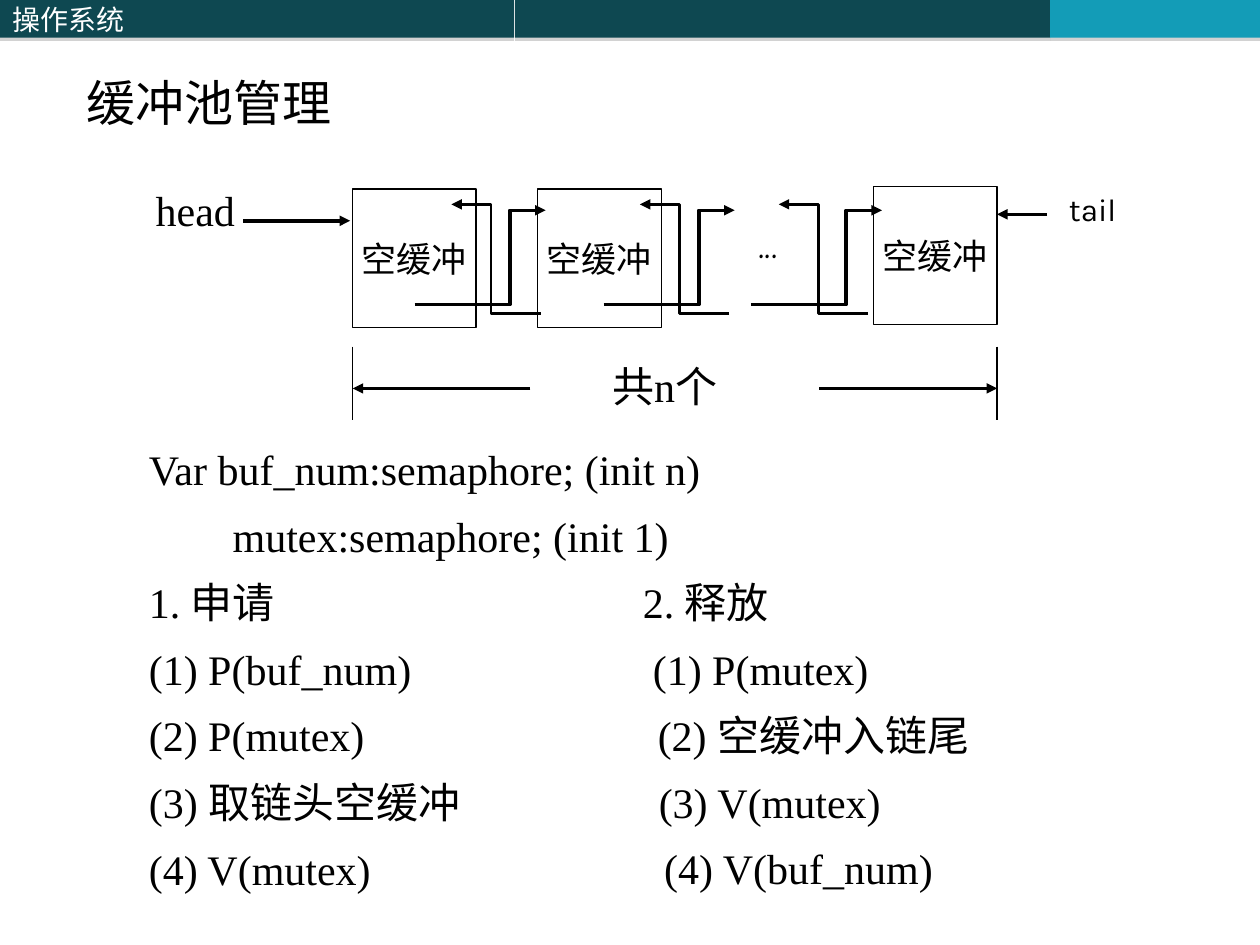
from typing import NamedTuple

from lxml.etree import SubElement
from pptx import Presentation
from pptx.dml.color import RGBColor
from pptx.enum.shapes import MSO_CONNECTOR, MSO_SHAPE
from pptx.enum.text import MSO_ANCHOR, MSO_AUTO_SIZE, PP_ALIGN
from pptx.oxml.ns import qn
from pptx.util import Cm, Pt

SERIF = "Times New Roman"
CHINESE = "Noto Sans CJK SC"
BLACK, WHITE = "000000", "FFFFFF"
DARK_TEAL, BRIGHT_TEAL = "0E4851", "139CB7"


class Band(NamedTuple):
    left: float
    width: float
    color: str
    text: str = ""


class Label(NamedTuple):
    text: str
    left: float
    top: float
    width: float
    height: float = 1.27
    font: str = SERIF
    size: float = 24


class Segment(NamedTuple):
    start: tuple[float, float]
    end: tuple[float, float]
    weight: float
    arrow: bool = True


class Row(NamedTuple):
    text: str
    indent: float = 0


# All places and lengths are in centimetres.
BANDS = [
    Band(0, 10.36, DARK_TEAL, "操作系统"),
    Band(10.38, 10.79, DARK_TEAL),
    Band(21.17, 4.23, BRIGHT_TEAL),
]
BUFFERS = [(7.11, 3.81), (10.84, 3.81), (17.61, 3.76)]
FORWARD_LINKS = [8.36, 12.17, 15.14]
BACKWARD_LINKS = [17.5, 14.7, 10.9]
CHAIN_LEFT, CHAIN_RIGHT = 7.11, 20.1
LABELS = [
    Label("...", 15.04, 4.24, 1.68, font="Comic Neue"),
    Label("head", 2.89, 3.6, 2.39),
    Label("共n个", 12.09, 7.13, 3.12),
    Label("tail", 21.3, 3.71, 2.01, 1.02, "Karla", 18),
]
SEGMENTS = [
    Segment((4.9, 4.45), (7.06, 4.45), 2),
    Segment((21.11, 4.32), (CHAIN_RIGHT, 4.32), 1.5),
    Segment((CHAIN_LEFT, 6.99), (CHAIN_LEFT, 8.46), 0.75, False),
    Segment((CHAIN_RIGHT, 6.99), (CHAIN_RIGHT, 8.46), 0.75, False),
    Segment((16.51, 7.83), (CHAIN_RIGHT, 7.83), 1.75),
    Segment((10.69, 7.83), (CHAIN_LEFT, 7.83), 1.75),
]
REQUEST_ROWS = [
    Row("Var buf_num:semaphore; (init n)"),
    Row("mutex:semaphore; (init 1)", indent=1.69),
    Row("1. 申请"),
    Row("(1) P(buf_num)"),
    Row("(2) P(mutex)"),
    Row("(3) 取链头空缓冲"),
    Row("(4) V(mutex)"),
]
RELEASE_ROWS = [
    Row("2. 释放"),
    Row("(1) P(mutex)", indent=0.2),
    Row("(2) 空缓冲入链尾", indent=0.3),
    Row("(3) V(mutex)", indent=0.32),
    Row("(4) V(buf_num)", indent=0.43),
]
BODY_TOP, BODY_HEIGHT, ROW_PITCH = 9.01, 9.12, 1.34
RELEASE_DROP = ROW_PITCH * (len(REQUEST_ROWS) - len(RELEASE_ROWS))


def rgb(color: str) -> RGBColor:
    return RGBColor.from_string(color)


def write(para, text: str, *, size: float, font: str = SERIF, color: str = BLACK,
          align=PP_ALIGN.LEFT) -> None:
    para.alignment = align
    span = para.add_run()
    span.text = text
    span.font.size = Pt(size)
    span.font.name = font
    span.font.color.rgb = rgb(color)
    SubElement(span.font._element, qn("a:ea"), typeface=CHINESE)


def set_frame(frame, *, anchor=MSO_ANCHOR.TOP, wrap: bool = True, side: float = 0.25) -> None:
    frame.auto_size = MSO_AUTO_SIZE.NONE
    frame.vertical_anchor = anchor
    frame.word_wrap = wrap
    frame.margin_left = frame.margin_right = Cm(side)
    frame.margin_top = frame.margin_bottom = Cm(0.13)


def move(shape, left: float, top: float, width: float, height: float) -> None:
    shape.left, shape.top = Cm(left), Cm(top)
    shape.width, shape.height = Cm(width), Cm(height)


def add_box(page, left: float, top: float, width: float, height: float, fill: str):
    box = page.shapes.add_shape(
        MSO_SHAPE.RECTANGLE, Cm(left), Cm(top), Cm(width), Cm(height))
    box.shadow.inherit = False
    box.fill.solid()
    box.fill.fore_color.rgb = rgb(fill)
    return box


def add_band(page, band: Band) -> None:
    box = add_box(page, band.left, 0, band.width, 0.76, band.color)
    box.line.fill.background()
    effects = box._element.spPr.find(qn("a:effectLst"))
    shadow = SubElement(effects, qn("a:outerShdw"), blurRad="0", dist=str(Pt(1.8)),
                        dir="5400000", algn="t", rotWithShape="0")
    tint = SubElement(shadow, qn("a:srgbClr"), val="808080")
    SubElement(tint, qn("a:alpha"), val="35000")
    if band.text:
        set_frame(box.text_frame, anchor=MSO_ANCHOR.MIDDLE)
        write(box.text_frame.paragraphs[0], band.text, size=16, font=CHINESE, color=WHITE)


def add_buffer(page, left: float, top: float) -> None:
    box = add_box(page, left, top, 2.49, 2.79, WHITE)
    box.line.color.rgb = rgb(BLACK)
    box.line.width = Pt(0.75)
    set_frame(box.text_frame, anchor=MSO_ANCHOR.MIDDLE, wrap=False, side=0.15)
    write(box.text_frame.paragraphs[0], "空缓冲", size=20, align=PP_ALIGN.CENTER)


def style_line(shape, weight: float, arrow: bool = True) -> None:
    shape.line.color.rgb = rgb(BLACK)
    shape.line.width = Pt(weight)
    if arrow:
        SubElement(shape._element.spPr.find(qn("a:ln")), qn("a:tailEnd"), type="triangle")


def add_segment(page, segment: Segment) -> None:
    line = page.shapes.add_connector(
        MSO_CONNECTOR.STRAIGHT, *(Cm(value) for value in segment.start + segment.end))
    style_line(line, segment.weight, segment.arrow)
    SubElement(line._element.spPr, qn("a:effectLst"))


def add_link(page, left: float, bottom: float, turn: float, reach: float, rise: float,
             weight: float) -> None:
    """Draw a stepped arrow: across by turn, up by rise, then on to reach."""
    steps = [(turn, 0), (turn, rise), (reach, rise)]
    builder = page.shapes.build_freeform(Cm(left), Cm(bottom))
    builder.add_line_segments(
        [(Cm(left + across), Cm(bottom - up)) for across, up in steps], close=False)
    link = builder.convert_to_shape()
    link.fill.background()
    link.shadow.inherit = False
    style_line(link, weight)


def add_label(page, label: Label) -> None:
    box = page.shapes.add_textbox(
        Cm(label.left), Cm(label.top), Cm(label.width), Cm(label.height))
    set_frame(box.text_frame)
    write(box.text_frame.paragraphs[0], label.text, size=label.size, font=label.font)


def fill_body(body, rows: list[Row]) -> None:
    set_frame(body.text_frame)
    for index, row in enumerate(rows):
        para = body.text_frame.add_paragraph() if index else body.text_frame.paragraphs[0]
        props = para._p.get_or_add_pPr()
        props.set("marL", str(Cm(row.indent)))
        props.set("indent", "0")
        SubElement(props, qn("a:buNone"))
        para.line_spacing = 0.8
        para.space_before = Pt(15 if index else 0)
        write(para, row.text, size=24)


def main() -> None:
    deck = Presentation()
    deck.slide_width, deck.slide_height = Cm(25.4), Cm(19.05)
    page = deck.slides.add_slide(deck.slide_layouts[3])
    title, request, release = page.placeholders
    move(title, 1.5, 1.33, 11.23, 1.45)
    set_frame(title.text_frame)
    write(title.text_frame.paragraphs[0], "缓冲池管理", size=28, font=CHINESE)
    move(request, 2.75, BODY_TOP, 12, BODY_HEIGHT)
    fill_body(request, REQUEST_ROWS)
    move(release, 12.71, BODY_TOP + RELEASE_DROP, 9.92, BODY_HEIGHT - RELEASE_DROP)
    fill_body(release, RELEASE_ROWS)
    for band in BANDS:
        add_band(page, band)
    for left, top in BUFFERS:
        add_buffer(page, left, top)
    for left in FORWARD_LINKS:
        add_link(page, left, 6.14, 1.92, 2.64, 1.9, 2)
    for right in BACKWARD_LINKS:
        add_link(page, right, 6.32, -1.0, -1.8, 2.2, 1.5)
    for label in LABELS:
        add_label(page, label)
    for segment in SEGMENTS:
        add_segment(page, segment)
    deck.save("out.pptx")


if __name__ == "__main__":
    main()
